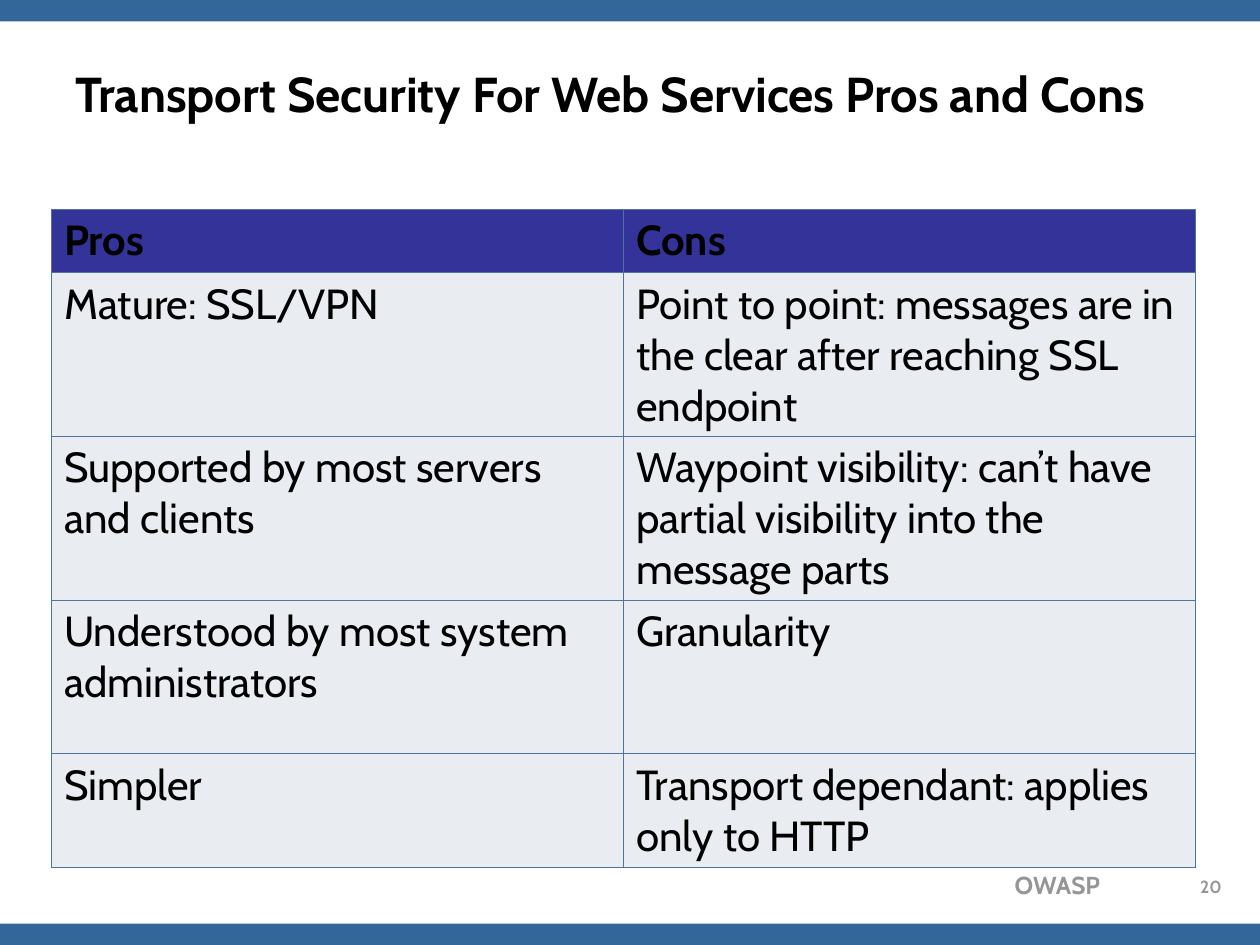
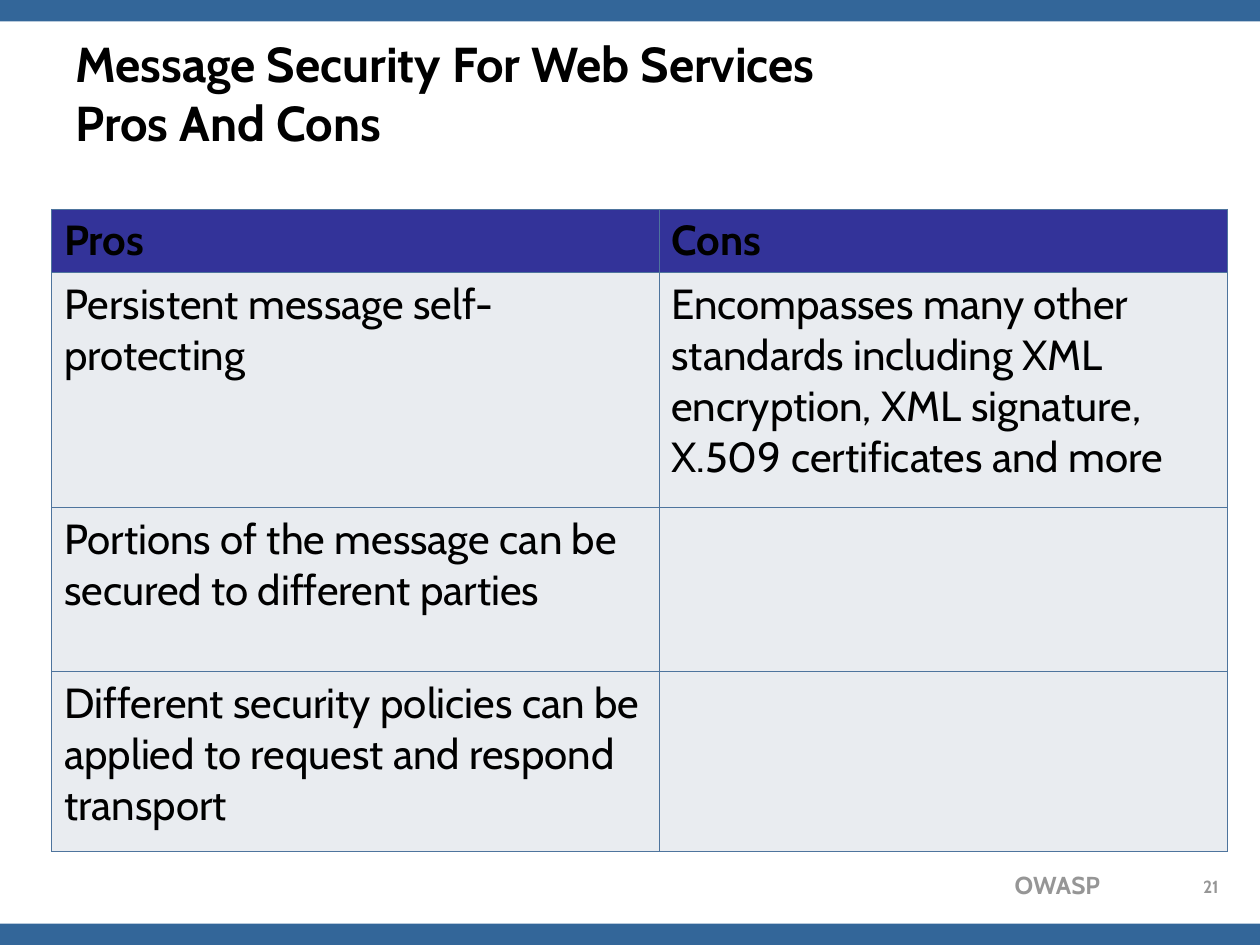
from lxml import etree
from pptx import Presentation
from pptx.dml.color import RGBColor
from pptx.enum.shapes import MSO_SHAPE
from pptx.enum.text import MSO_ANCHOR, PP_ALIGN
from pptx.oxml.ns import qn
from pptx.util import Inches, Pt

RECT = MSO_SHAPE.RECTANGLE
TOP, MIDDLE = MSO_ANCHOR.TOP, MSO_ANCHOR.MIDDLE
LEFT, CENTER, RIGHT = PP_ALIGN.LEFT, PP_ALIGN.CENTER, PP_ALIGN.RIGHT

WIDE, HIGH, BAND = 10, 7.5, 0.17
FONT = "Cabin"
COLORS = {
    "band": "336699",
    "head": "333399",
    "cell": "E9ECF0",
    "edge": "4E749D",
    "text": "000000",
    "foot": "969696",
}
STYLES = {
    "title": {"size": Pt(28), "bold": True, "color": "text"},
    "head": {"size": Pt(24), "bold": True, "color": "text"},
    "cell": {"size": Pt(24), "bold": False, "color": "text"},
    "foot": {"size": Pt(14), "bold": True, "color": "foot"},
    "page": {"size": Pt(10), "bold": True, "color": "foot"},
}


class Deck:
    def __init__(self):
        self.prs = Presentation()
        self.prs.slide_width = Inches(WIDE)
        self.prs.slide_height = Inches(HIGH)
        self.slide = None

    def start(self, title, page):
        """Add a slide with the shared bands, title and footer."""
        self.slide = self.prs.slides.add_slide(self.prs.slide_layouts[6])
        for top in (0, HIGH - BAND):
            self.band(top)
        self.text((6.22, 6.86, 2.61, 0.34), "OWASP", "foot", RIGHT)
        self.text((0.5, 0.3, 9, 0.87), title, "title", anchor=MIDDLE)
        self.text((9.39, 6.9, 0.44, 0.25), str(page), "page", CENTER)

    def paint(self, fill, name):
        fill.solid()
        fill.fore_color.rgb = RGBColor.from_string(COLORS[name])

    def letter(self, frame, words, style, align=LEFT):
        frame.text = words
        for para in frame.paragraphs:
            para.alignment = align
            for run in para.runs:
                run.font.name = FONT
                for key, value in STYLES[style].items():
                    if key == "color":
                        self.paint(run.font.fill, value)
                    else:
                        setattr(run.font, key, value)

    def band(self, top):
        bar = self.slide.shapes.add_shape(
            RECT, 0, Inches(top), Inches(WIDE), Inches(BAND))
        bar.shadow.inherit = False
        self.paint(bar.fill, "band")
        bar.line.fill.background()

    def text(self, place, words, style, align=LEFT, anchor=TOP):
        box = self.slide.shapes.add_textbox(*map(Inches, place))
        frame = box.text_frame
        frame.word_wrap = True
        frame.vertical_anchor = anchor
        self.letter(frame, words, style, align)

    def edge(self, cell):
        """Draw a thin line on all four sides of a cell."""
        props = cell._tc.get_or_add_tcPr()
        for spot, side in enumerate(("a:lnL", "a:lnR", "a:lnT", "a:lnB")):
            line = etree.Element(qn(side), w=str(Pt(0.45)))
            fill = etree.SubElement(line, qn("a:solidFill"))
            etree.SubElement(fill, qn("a:srgbClr"), val=COLORS["edge"])
            props.insert(spot, line)

    def table(self, widths, heights, pairs):
        rows = [("Pros", "Cons")] + pairs
        place = (0.41, 1.66, sum(widths), sum(heights))
        grid = self.slide.shapes.add_table(
            len(rows), len(widths), *map(Inches, place)).table
        for col, width in zip(grid.columns, widths):
            col.width = Inches(width)
        for row, height in zip(grid.rows, heights):
            row.height = Inches(height)
        for r, pair in enumerate(rows):
            style = "cell" if r else "head"
            for c, words in enumerate(pair):
                cell = grid.cell(r, c)
                self.paint(cell.fill, style)
                self.edge(cell)
                self.letter(cell.text_frame, words, style)


def main():
    deck = Deck()

    # Transport security
    deck.start("Transport Security For Web Services Pros and Cons", 20)
    deck.table((4.54, 4.54), (0.5, 1.3, 1.3, 1.22, 0.9), [
        ("Mature: SSL/VPN",
         "Point to point: messages are in the clear after reaching SSL "
         "endpoint"),
        ("Supported by most servers and clients",
         "Waypoint visibility: can’t have partial visibility into the "
         "message parts"),
        ("Understood by most system administrators", "Granularity"),
        ("Simpler", "Transport dependant: applies only to HTTP"),
    ])

    # Message security
    deck.start("Message Security For Web Services \vPros And Cons", 21)
    deck.table((4.82, 4.51), (0.5, 1.87, 1.3, 1.43), [
        ("Persistent message self-protecting",
         "Encompasses many other standards including XML encryption, "
         "XML signature, X.509 certificates and more"),
        ("Portions of the message can be secured to different parties", ""),
        ("Different security policies can be applied to request and "
         "respond transport", ""),
    ])

    deck.prs.save("out.pptx")


if __name__ == "__main__":
    main()
